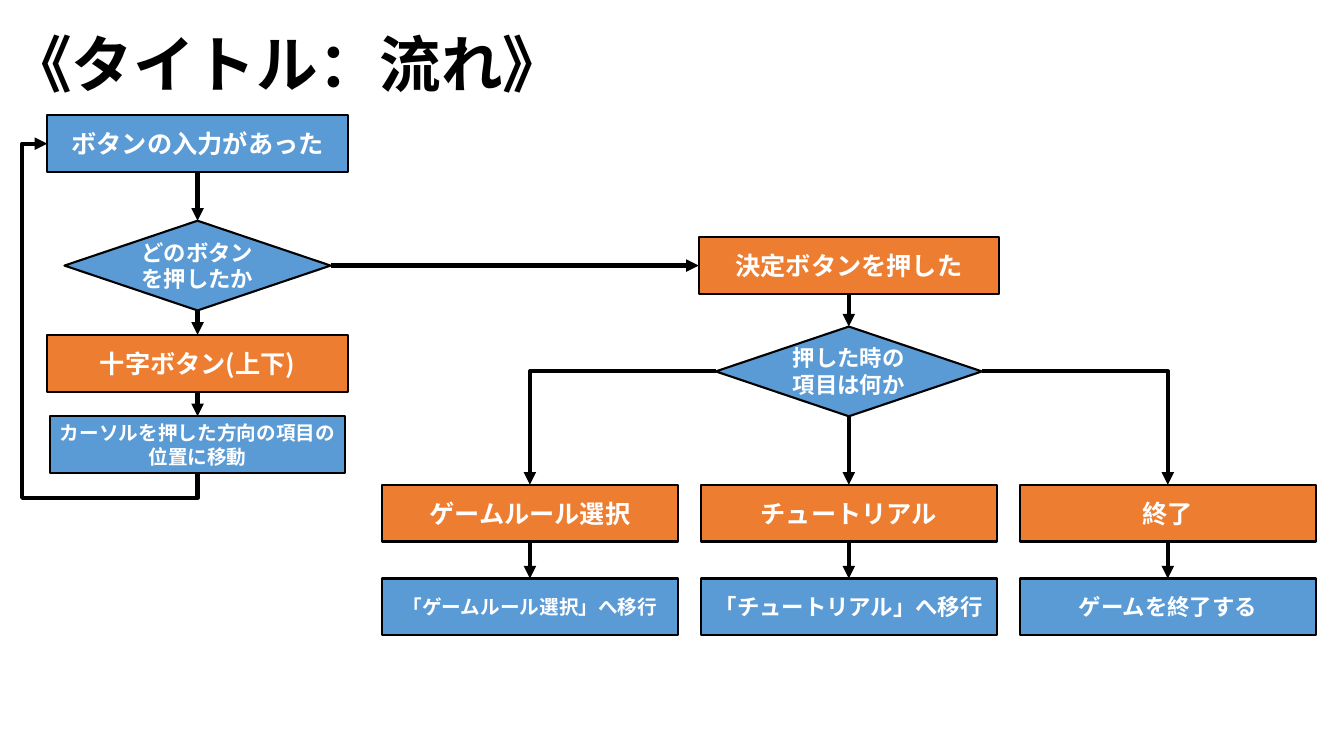
from lxml.etree import SubElement
from pptx import Presentation
from pptx.dml.color import RGBColor
from pptx.enum.shapes import MSO_CONNECTOR as Link, MSO_SHAPE as Shape
from pptx.enum.text import MSO_ANCHOR as Anchor, MSO_AUTO_SIZE as AutoSize, PP_ALIGN as Align
from pptx.oxml.ns import qn
from pptx.util import Inches, Pt

COLORS = {"step": "5B9BD5", "case": "ED7D31", "ink": "000000", "text": "FFFFFF"}
FONT = "Noto Sans CJK JP"
TOP, LEFT, BOTTOM, RIGHT = range(4)

# Shares of the slide in percent: column centres, row centres, sizes
INPUT_COL = 14.7
MENU_COLS = [39.43 + 23.73 * i for i in range(3)]
DECIDE_COL = MENU_COLS[1]
WIDE, NARROW, DIAMOND = (22.35, 7.6), (22, 7.5), (19.8, 11.87)
BRANCH_ROW, CASE_ROW, ACTION_ROW = 35.13, 67.87, 80.27


class FlowSlide:
    def __init__(self, deck):
        self.slide = deck.slides.add_slide(deck.slide_layouts[5])
        self.width, self.height = deck.slide_width, deck.slide_height

    def x(self, share):
        return round(self.width * share / 100)

    def y(self, share):
        return round(self.height * share / 100)

    def style(self, frame, size, color, align):
        for paragraph in frame.paragraphs:
            paragraph.alignment = align
            font = paragraph.font
            font.name, font.size, font.bold = FONT, Pt(size), True
            font.color.rgb = RGBColor.from_string(COLORS[color])
            SubElement(paragraph._p.pPr.find(qn("a:defRPr")), qn("a:ea"), typeface=FONT)

    def title(self, text, left, top, width, height):
        heading = self.slide.shapes.title
        heading.left, heading.top = self.x(left), self.y(top)
        heading.width, heading.height = self.x(width), self.y(height)
        frame = heading.text_frame
        frame.text = text
        frame.word_wrap = False
        frame.auto_size = AutoSize.SHAPE_TO_FIT_TEXT
        frame.vertical_anchor = Anchor.MIDDLE
        self.style(frame, 44, "ink", Align.LEFT)

    def node(self, text, col, row, extent=WIDE, color="step", size=18):
        kind = Shape.FLOWCHART_DECISION if extent == DIAMOND else Shape.FLOWCHART_PROCESS
        width, height = extent
        box = self.slide.shapes.add_shape(
            kind, self.x(col - width / 2), self.y(row - height / 2),
            self.x(width), self.y(height))
        box.shadow.inherit = False
        box.fill.solid()
        box.fill.fore_color.rgb = RGBColor.from_string(COLORS[color])
        box.line.color.rgb = RGBColor.from_string(COLORS["ink"])
        box.line.width = Pt(1.5)
        frame = box.text_frame
        frame.text = text
        frame.word_wrap = True
        frame.vertical_anchor = Anchor.MIDDLE
        self.style(frame, size, "text", Align.CENTER)
        return box

    def connector(self, kind, *ends):
        link = self.slide.shapes.add_connector(kind, *ends)
        link.line.color.rgb = RGBColor.from_string(COLORS["ink"])
        link.line.width = Pt(3)
        SubElement(link.line._get_or_add_ln(), qn("a:tailEnd"), type="triangle")
        SubElement(link._element.spPr, qn("a:effectLst"))
        return link

    def arrow(self, source, target, start=BOTTOM, end=TOP):
        link = self.connector(Link.STRAIGHT, 0, 0, 0, 0)
        link.begin_connect(source, start)
        link.end_connect(target, end)

    def corner(self, source, target, start):
        """Leave a side of source, turn once, enter the top of target."""
        link = self.connector(
            Link.ELBOW, source.left + (source.width if start == RIGHT else 0),
            source.top + source.height // 2,
            target.left + target.width // 2, target.top)
        link._element.spPr.find(qn("a:prstGeom")).set("prst", "bentConnector2")

    def loop_back(self, source, target, drop, outset):
        """Leave the bottom of source and return to the left of target."""
        start_x, start_y = source.left + source.width // 2, source.top + source.height
        end_x, end_y = target.left, target.top + target.height // 2
        run, rise = start_x - end_x, start_y - end_y
        mid_x, mid_y = (start_x + end_x) // 2, (start_y + end_y) // 2
        # The unrotated frame is as wide as the rise and as high as the run
        link = self.connector(Link.ELBOW, mid_x + rise // 2, mid_y - run // 2,
                              mid_x - rise // 2, mid_y + run // 2)
        properties = link._element.spPr
        properties.find(qn("a:xfrm")).set("rot", str(90 * 60000))
        geometry = properties.find(qn("a:prstGeom"))
        geometry.set("prst", "bentConnector4")
        guides = geometry.find(qn("a:avLst"))
        if guides is None:
            guides = SubElement(geometry, qn("a:avLst"))
        bends = -self.y(drop) / rise, 1 + self.x(outset) / run
        for number, bend in enumerate(bends, 1):
            SubElement(guides, qn("a:gd"), name=f"adj{number}",
                       fmla=f"val {round(bend * 100000)}")


def main():
    deck = Presentation()
    deck.slide_width, deck.slide_height = Inches(13.33), Inches(7.5)
    flow = FlowSlide(deck)
    flow.title("《タイトル：流れ》", 0, 2.67, 43.2, 11.2)

    # Button input and cursor movement
    pressed = flow.node("ボタンの入力があった", INPUT_COL, 19)
    which_button = flow.node("どのボタンを押したか", INPUT_COL, BRANCH_ROW, DIAMOND, size=16)
    cross_key = flow.node("十字ボタン(上下)", INPUT_COL, 48.07, color="case")
    move_cursor = flow.node("カーソルを押した方向の項目の位置に移動", INPUT_COL, 58.8, NARROW, size=14)
    flow.arrow(pressed, which_button)
    flow.arrow(which_button, cross_key)
    flow.arrow(cross_key, move_cursor)
    flow.loop_back(move_cursor, pressed, drop=3.33, outset=1.88)

    # Confirm button
    confirm = flow.node("決定ボタンを押した", DECIDE_COL, BRANCH_ROW, color="case")
    which_item = flow.node("押した時の項目は何か", DECIDE_COL, 49.13, DIAMOND, size=16)
    flow.arrow(which_button, confirm, RIGHT, LEFT)
    flow.arrow(confirm, which_item)

    # Menu items and their actions
    menu = [("ゲームルール選択", "「ゲームルール選択」へ移行", 14, LEFT),
            ("チュートリアル", "「チュートリアル」へ移行", 16, BOTTOM),
            ("終了", "ゲームを終了する", 16, RIGHT)]
    for col, (item, action, size, side) in zip(MENU_COLS, menu):
        choice = flow.node(item, col, CASE_ROW, NARROW, "case")
        result = flow.node(action, col, ACTION_ROW, NARROW, size=size)
        flow.arrow(choice, result)
        if side == BOTTOM:
            flow.arrow(which_item, choice)
        else:
            flow.corner(which_item, choice, side)

    deck.save("out.pptx")


if __name__ == "__main__":
    main()
